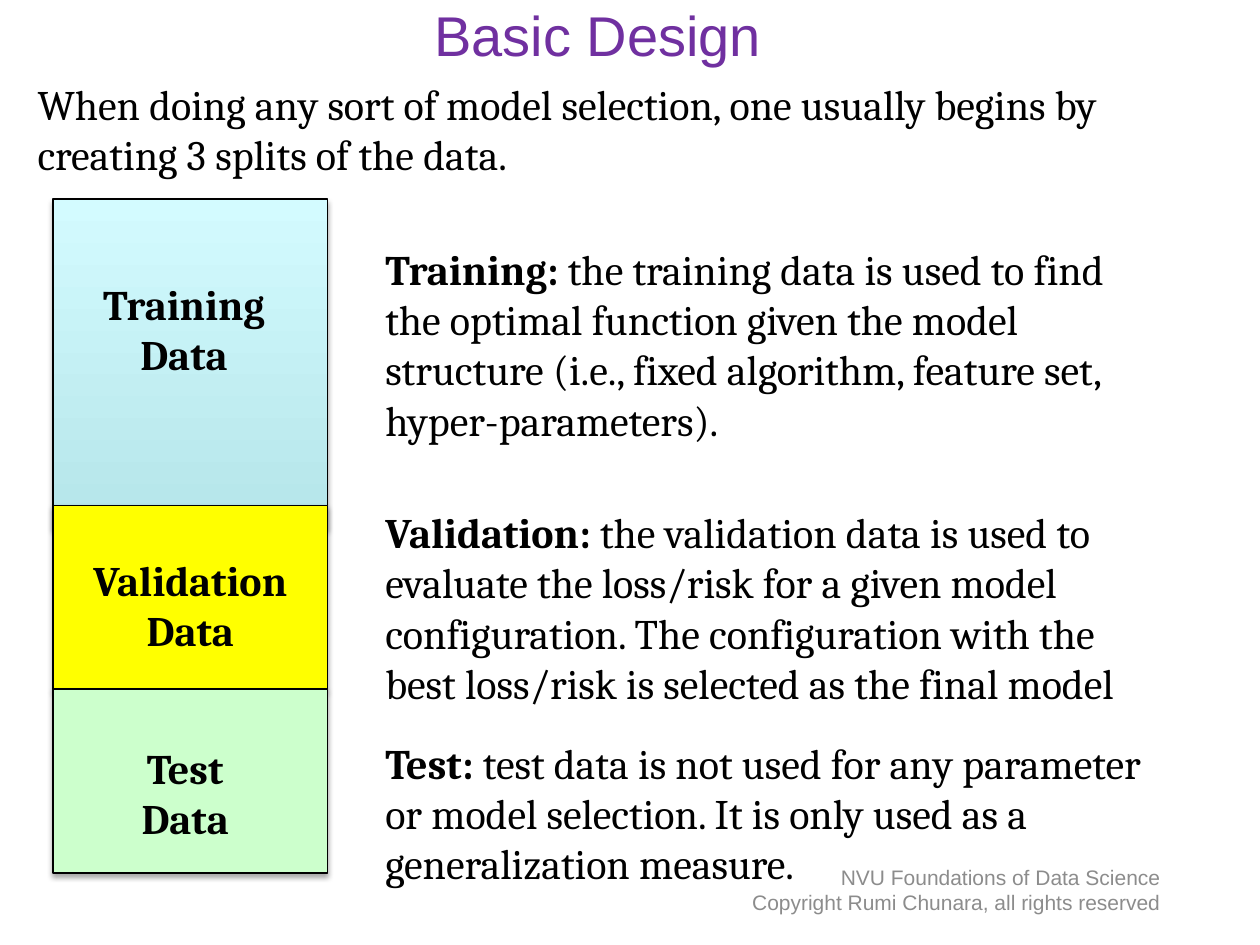
from lxml import etree
from pptx import Presentation
from pptx import util as u
from pptx.dml.color import RGBColor
from pptx.enum import shapes, text
from pptx.oxml import ns

COLORS = {
    "title": "7030A0", "ink": "000000", "footer": "8C8C8C",
    "training_low": "B5E5E9", "training_high": "D3FBFF",
    "validation": "FFFF00", "test": "CCFFCC",
}
BODY = {"size": u.Pt(24), "name": "Cambria"}
TITLE = {"size": u.Pt(32), "name": "Arial"}
FOOTER = {"size": u.Pt(12), "name": "Arial"}
LEFT, CENTER, RIGHT = text.PP_ALIGN.LEFT, text.PP_ALIGN.CENTER, text.PP_ALIGN.RIGHT


def rgb(name):
    return RGBColor.from_string(COLORS[name])


def inches(*values):
    return [u.Inches(v) for v in values]


def add_run(p, words, style, color="ink", bold=False):
    r = p.add_run()
    r.text = words
    for key, value in {**style, "bold": bold}.items():
        setattr(r.font, key, value)
    r.font.color.rgb = rgb(color)


def set_title(s, words, box):
    sp = s.shapes.title
    for key, value in zip(("left", "top", "width", "height"), inches(*box)):
        setattr(sp, key, value)
    tf = sp.text_frame
    tf.vertical_anchor = text.MSO_ANCHOR.MIDDLE
    p = tf.paragraphs[0]
    p.alignment = CENTER
    add_run(p, words, TITLE, "title")


def add_text(parent, box, paragraphs, style=BODY, color="ink", align=LEFT):
    tf = parent.shapes.add_textbox(*inches(*box)).text_frame
    tf.word_wrap = True
    for i, runs in enumerate(paragraphs):
        p = tf.add_paragraph() if i else tf.paragraphs[0]
        p.alignment = align
        for words, bold in runs:
            add_run(p, words, style, color, bold)
    return tf


def add_shadow(sp):
    sp.shadow.inherit = False
    effects = sp._element.spPr.find(ns.qn("a:effectLst"))
    shadow = etree.SubElement(
        effects, ns.qn("a:outerShdw"), blurRad=str(u.Pt(3.1)),
        dist=str(u.Pt(1.8)), dir="5400000", rotWithShape="0")
    ink = etree.SubElement(shadow, ns.qn("a:srgbClr"), val=COLORS["ink"])
    etree.SubElement(ink, ns.qn("a:alpha"), val="35000")


def add_block(group, top, height, colors):
    sp = group.shapes.add_shape(
        shapes.MSO_SHAPE.RECTANGLE, *inches(0.42, top, 2.18, height))
    if len(colors) == 1:
        sp.fill.solid()
        sp.fill.fore_color.rgb = rgb(colors[0])
    else:
        sp.fill.gradient()
        sp.fill.gradient_angle = 90
        for stop, color in zip(sp.fill.gradient_stops, colors):
            stop.color.rgb = rgb(color)
    sp.line.color.rgb = rgb("ink")
    sp.line.width = u.Pt(0.75)
    add_shadow(sp)


def add_splits(s):
    group = s.shapes.add_group_shape()
    for top, height, colors in (
        (1.58, 2.61, ("training_low", "training_high")),
        (4.01, 1.46, ("validation",)),
        (5.47, 1.46, ("test",)),
    ):
        add_block(group, top, height, colors)
    for box, lines in (
        ((0.67, 2.16, 1.58, 0.91), ["Training Data"]),
        ((0.55, 4.35, 1.92, 0.91), ["Validation", "Data"]),
        ((0.68, 5.84, 1.58, 0.69), ["Test", "Data"]),
    ):
        add_text(group, box, [[(line, True)] for line in lines], align=CENTER)


def add_footer(s):
    lines = ["NVU Foundations of Data Science",
             "Copyright Rumi Chunara, all rights reserved"]
    tf = add_text(s, (5.36, 6.86, 3.95, 0.4), [[(line, False)] for line in lines],
                  FOOTER, "footer", RIGHT)
    tf.vertical_anchor = text.MSO_ANCHOR.MIDDLE


def main():
    prs = Presentation()
    prs.slide_width, prs.slide_height = inches(10, 7.5)
    s = prs.slides.add_slide(prs.slide_layouts[5])
    add_footer(s)
    set_title(s, "Basic Design", (0.16, -0.1, 9.17, 0.74))
    add_splits(s)
    add_text(s, (0.2, 0.57, 8.94, 0.71), [[(
        "When doing any sort of model selection, one usually begins by "
        "creating 3 splits of the data.", False)]])
    for top, height, term, meaning in (
        (1.88, 1.01, "Training: ",
         "the training data is used to find the optimal function given the model "
         "structure (i.e., fixed algorithm, feature set, hyper-parameters)."),
        (3.97, 1.31, "Validation: ",
         "the validation data is used to evaluate the loss/risk for a given model "
         "configuration. The configuration with the best loss/risk is selected as "
         "the final model"),
        (5.8, 0.71, "Test: ",
         "test data is not used for any parameter or model selection. It is only "
         "used as a generalization measure."),
    ):
        add_text(s, (2.96, top, 6.37, height), [[(term, True), (meaning, False)]])
    prs.save("out.pptx")


if __name__ == "__main__":
    main()
